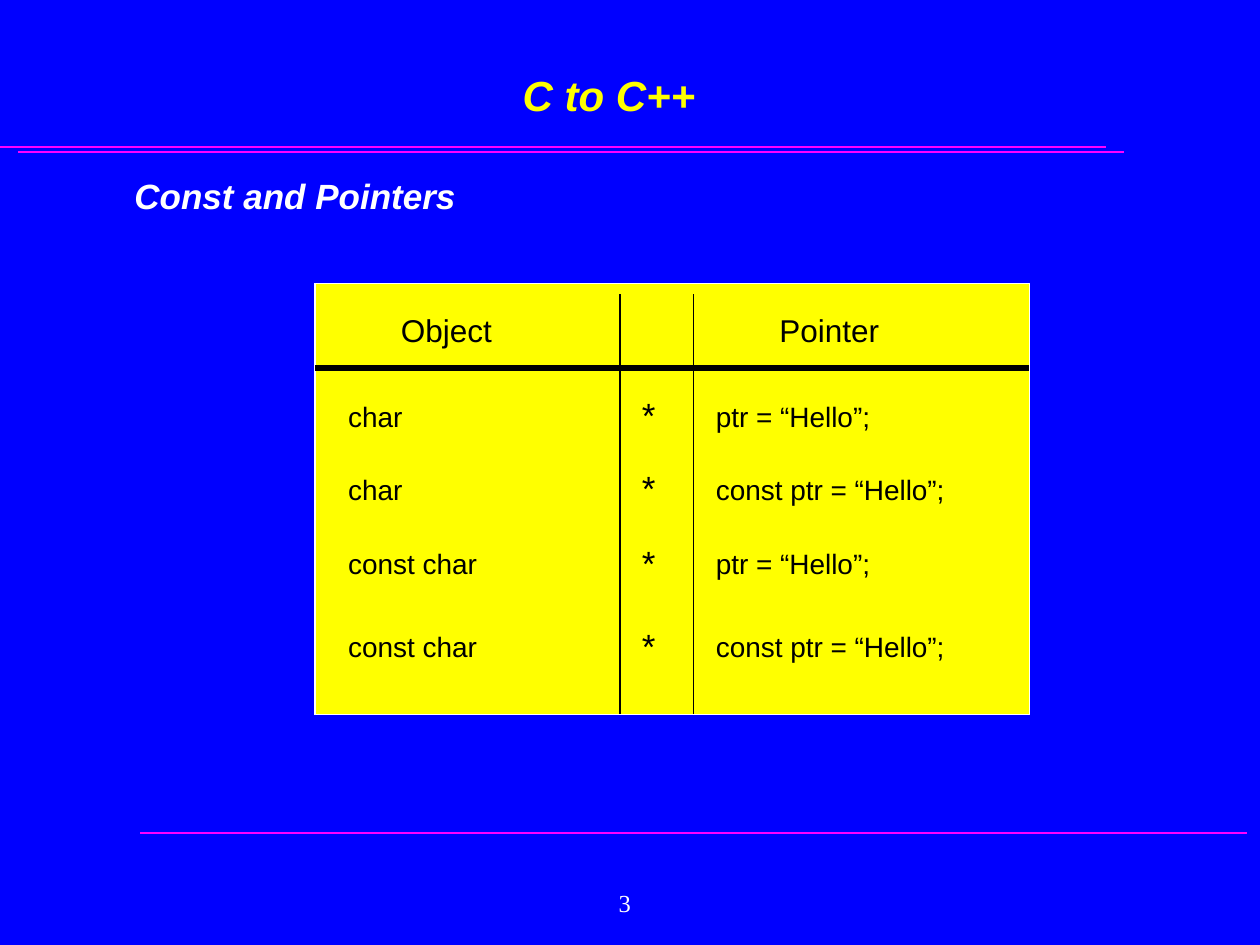
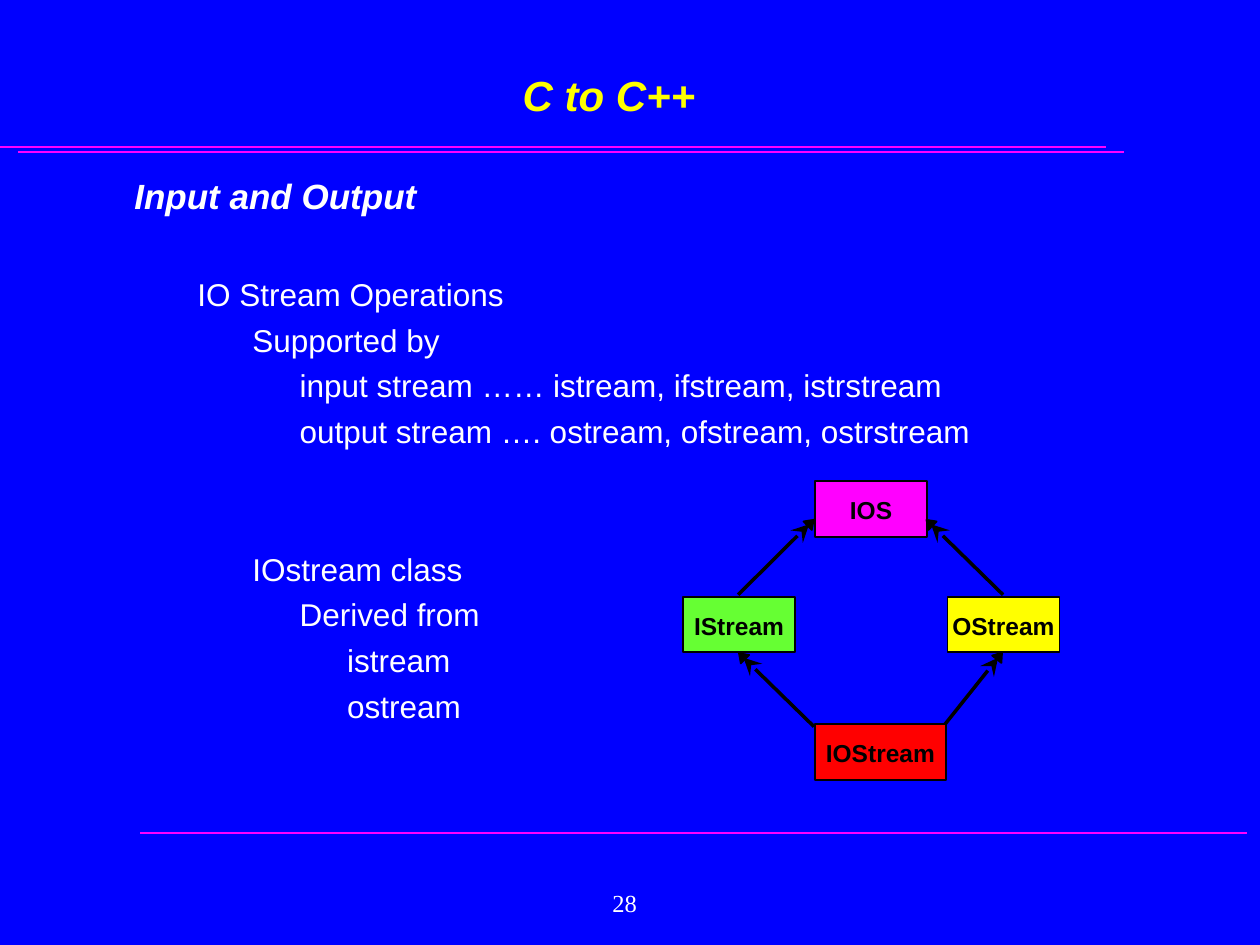
from math import hypot

from pptx import Presentation
from pptx.dml.color import RGBColor
from pptx.enum.shapes import MSO_CONNECTOR as CONN, MSO_SHAPE as SHAPE
from pptx.enum.text import MSO_ANCHOR as ANCHOR, PP_ALIGN as ALIGN
from pptx.oxml.ns import qn
from pptx.util import Cm, Pt
from lxml.etree import SubElement

BLUE = RGBColor(0x00, 0x00, 0xFF)
MAGENTA = RGBColor(0xFF, 0x00, 0xFF)
YELLOW = RGBColor(0xFF, 0xFF, 0x00)
GREEN = RGBColor(0x66, 0xFF, 0x33)
RED = RGBColor(0xFF, 0x00, 0x00)
WHITE = RGBColor(0xFF, 0xFF, 0xFF)
BLACK = RGBColor(0x00, 0x00, 0x00)

SANS = "Arial"
SERIF = "Times New Roman"
COURSE = "C to C++"
BODY_BOX = (2.46, 3.4, 21.46, 12.9)


def add_run(p, text, size, color, font=SANS, bold=False, italic=False):
    r = p.add_run()
    r.text = text
    r.font.name = font
    r.font.size = Pt(size)
    r.font.color.rgb = color
    r.font.bold = bold
    r.font.italic = italic


def add_text_box(s, box, anchor=ANCHOR.TOP, align=ALIGN.LEFT):
    tf = s.shapes.add_textbox(*map(Cm, box)).text_frame
    tf.word_wrap = True
    tf.vertical_anchor = anchor
    tf.paragraphs[0].alignment = align
    return tf


def add_line(s, x1, y1, x2, y2, color, width, stealth=False):
    c = s.shapes.add_connector(CONN.STRAIGHT, Cm(x1), Cm(y1), Cm(x2), Cm(y2))
    c.line.color.rgb = color
    c.line.width = Pt(width)
    sp_pr = c._element.spPr
    if stealth:
        SubElement(sp_pr.find(qn("a:ln")), qn("a:headEnd"),
                   type="stealth", w="lg", len="lg")
    SubElement(sp_pr, qn("a:effectLst"))


def paint(sp, fill, line):
    sp.shadow.inherit = False
    sp.fill.solid()
    sp.fill.fore_color.rgb = fill
    sp.line.color.rgb = line
    sp.line.width = Pt(1)


def add_frame(prs, heading, number):
    s = prs.slides.add_slide(prs.slide_layouts[6])
    s.background.fill.solid()
    s.background.fill.fore_color.rgb = BLUE
    for x, y in ((0, 2.97), (0.36, 3.07), (2.83, 16.79)):
        add_line(s, x, y, x + 22.3, y, MAGENTA, 1)
    title = add_text_box(s, (1.48, 0.84, 21.59, 1.7), ANCHOR.BOTTOM, ALIGN.CENTER)
    add_run(title.paragraphs[0], COURSE, 24, YELLOW, bold=True, italic=True)
    body = add_text_box(s, BODY_BOX)
    add_run(body.paragraphs[0], heading, 20, WHITE, bold=True, italic=True)
    page = add_text_box(s, (11.64, 17.56, 1.91, 1.27), ANCHOR.MIDDLE, ALIGN.CENTER)
    add_run(page.paragraphs[0], str(number), 14, WHITE, SERIF)
    return s, body


def set_border(cell, side, color=None):
    tc_pr = cell._tc.get_or_add_tcPr()
    ln = SubElement(tc_pr, qn(f"a:ln{side}"), w=str(Pt(1)))
    if color is None:
        SubElement(ln, qn("a:noFill"))
    else:
        fill = SubElement(ln, qn("a:solidFill"))
        SubElement(fill, qn("a:srgbClr"), val=str(color))


def add_pointer_table(s, left, top):
    rows = (
        ("Object", "", "Pointer"),
        ("char", "*", "ptr = “Hello”;"),
        ("char", "*", "const ptr = “Hello”;"),
        ("const char", "*", "ptr = “Hello”;"),
        ("const char", "*", "const ptr = “Hello”;"),
    )
    widths = (6.15, 1.48, 6.77)
    heights = (1.7, 1.48, 1.5, 1.67, 2.33)
    header_indents = (1.73, 0, 1.73)
    body_indents = (0.67, 0.44, 0.45)
    last_row, last_col = len(rows) - 1, len(widths) - 1
    table = s.shapes.add_table(len(rows), len(widths), Cm(left), Cm(top),
                               Cm(sum(widths)), Cm(sum(heights))).table
    table.first_row = table.horz_banding = False
    for col, width in zip(table.columns, widths):
        col.width = Cm(width)
    for row, height in zip(table.rows, heights):
        row.height = Cm(height)
    for i, texts in enumerate(rows):
        for j, text in enumerate(texts):
            cell = table.cell(i, j)
            set_border(cell, "L", None if j else WHITE)
            set_border(cell, "R", WHITE if j == last_col else None)
            set_border(cell, "T", None if i else WHITE)
            set_border(cell, "B", WHITE if i == last_row else None)
            cell.fill.solid()
            cell.fill.fore_color.rgb = YELLOW
            if i == 0:
                size, drop, indent = 18, 0.6, header_indents[j]
            else:
                size, drop = (20, 0.58) if j == 1 else (16, 0.68)
                indent = body_indents[j]
            cell.margin_left, cell.margin_top = Cm(indent), Cm(drop)
            cell.margin_right = cell.margin_bottom = 0
            if text:
                add_run(cell.text_frame.paragraphs[0], text, size, BLACK)
    rule = top + heights[0]
    add_line(s, left, rule, left + sum(widths), rule, BLACK, 3)
    for x in (left + widths[0], left + sum(widths[:2])):
        add_line(s, x, top + 0.21, x, top + sum(heights), BLACK, 1)


def add_outline(body):
    indents = (1.27, 2.38, 3.33, 4.29)
    lines = (
        (0, 33.3, "IO Stream Operations"),
        (1, 4.5, "Supported by"),
        (2, 4.5, "input stream …… istream, ifstream, istrstream"),
        (2, 4.5, "output stream …. ostream, ofstream, ostrstream"),
        (1, 57, "IOstream class"),
        (2, 4.5, "Derived from"),
        (3, 4.5, "istream"),
        (3, 4.5, "ostream"),
    )
    for level, gap, text in lines:
        p = body.add_paragraph()
        p.space_before = Pt(gap)
        p._p.get_or_add_pPr().set("marL", str(Cm(indents[level])))
        add_run(p, text, 18, WHITE)


def add_class_box(s, left, top, width, name, fill):
    sp = s.shapes.add_shape(SHAPE.RECTANGLE, Cm(left), Cm(top), Cm(width), Cm(1.12))
    paint(sp, fill, BLACK)
    tf = sp.text_frame
    tf.word_wrap = False
    tf.margin_left = tf.margin_right = tf.margin_bottom = 0
    tf.margin_top = Cm(0.04)
    tf.vertical_anchor = ANCHOR.MIDDLE
    p = tf.paragraphs[0]
    p.alignment = ALIGN.CENTER
    add_run(p, name, 14, BLACK, bold=True)


def add_inherit_arrow(s, x1, y1, x2, y2):
    add_line(s, x1, y1, x2, y2, BLACK, 2, stealth=True)
    length = hypot(x1 - x2, y1 - y2)
    ux, uy = (x1 - x2) / length, (y1 - y2) / length
    corners = [(x1 + ux * along - uy * across, y1 + uy * along + ux * across)
               for along, across in ((-0.04, 0.12), (-0.04, -0.12), (0.13, 0))]
    points = [(Cm(x), Cm(y)) for x, y in corners]
    builder = s.shapes.build_freeform(*points[0])
    builder.add_line_segments(points[1:], close=True)
    paint(builder.convert_to_shape(), BLACK, BLACK)


def add_class_diagram(s, left, top):
    classes = (
        (2.66, 0, 2.26, "IOS", MAGENTA),
        (5.33, 2.33, 2.26, "OStream", YELLOW),
        (0, 2.33, 2.26, "IStream", GREEN),
        (2.66, 4.9, 2.64, "IOStream", RED),
    )
    arrows = (
        (2.54, 0.87, 1.11, 2.29),
        (5.0, 0.87, 6.45, 2.29),
        (1.22, 3.56, 2.64, 4.95),
        (6.35, 3.56, 5.28, 4.9),
    )
    for x, y, width, name, fill in classes:
        add_class_box(s, left + x, top + y, width, name, fill)
    for x1, y1, x2, y2 in arrows:
        add_inherit_arrow(s, left + x1, top + y1, left + x2, top + y2)


def add_pointers_slide(prs):
    s, _ = add_frame(prs, "Const and Pointers", 3)
    add_pointer_table(s, 6.35, 5.72)


def add_streams_slide(prs):
    s, body = add_frame(prs, "Input and Output", 28)
    add_outline(body)
    add_class_diagram(s, 13.77, 9.7)


def main():
    prs = Presentation()
    prs.slide_width, prs.slide_height = Cm(25.4), Cm(19.05)
    add_pointers_slide(prs)
    add_streams_slide(prs)
    prs.save("out.pptx")


if __name__ == "__main__":
    main()
